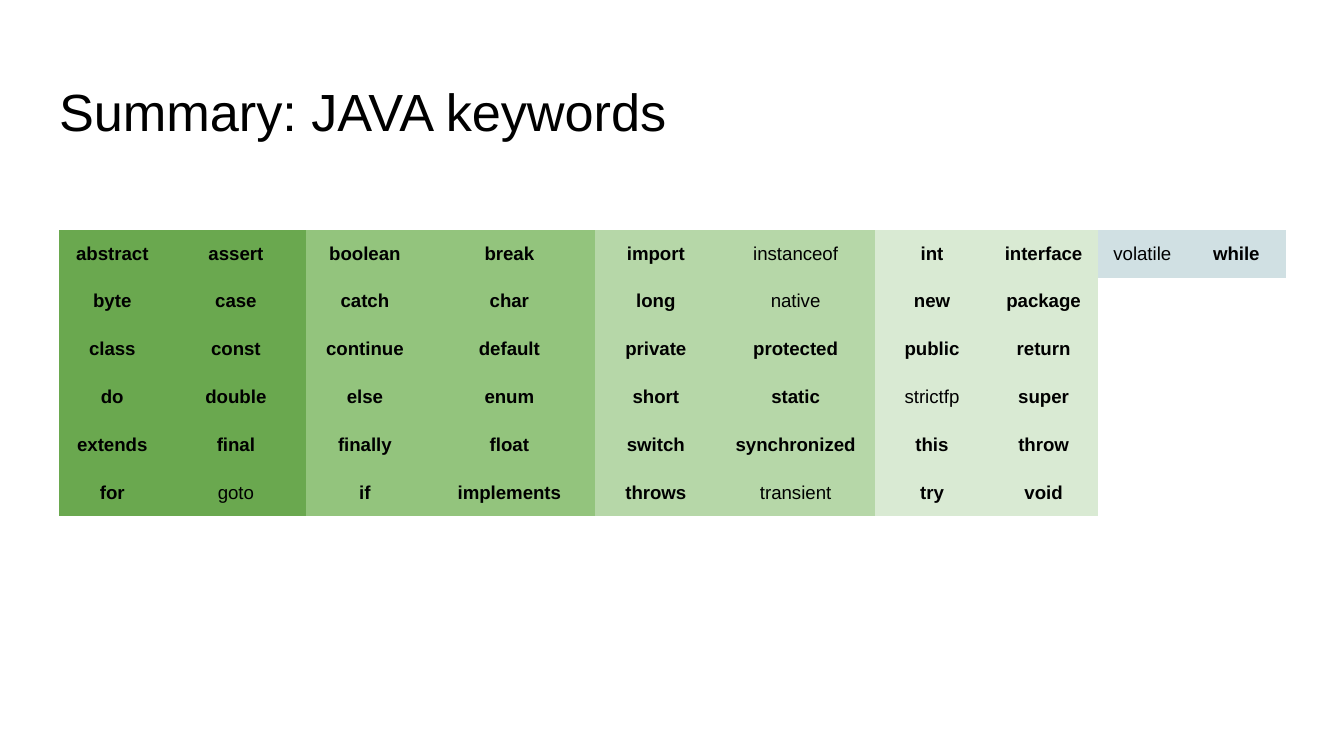
from dataclasses import dataclass

from pptx import Presentation
from pptx.dml.color import RGBColor
from pptx.enum.text import MSO_ANCHOR, MSO_AUTO_SIZE, PP_ALIGN
from pptx.oxml.ns import qn
from pptx.slide import Slide
from pptx.table import Table, _Cell
from pptx.util import Inches, Pt

CENTER = PP_ALIGN.CENTER
LEFT = PP_ALIGN.LEFT
MIDDLE = MSO_ANCHOR.MIDDLE
TOP = MSO_ANCHOR.TOP
NO_AUTOFIT = MSO_AUTO_SIZE.NONE
NO_STYLE_NO_GRID = "{2D5ABB26-0587-4C30-8999-92F81FD0307C}"


@dataclass(frozen=True)
class Theme:
    font: str = "Arial"
    ink: str = "000000"
    title_size: int = 28
    keyword_size: int = 10
    inset: float = 0.1


@dataclass(frozen=True)
class ColumnPair:
    """Two neighbouring keyword columns sharing one fill."""
    fill: str
    widths: tuple[float, float]
    rows: tuple[str, ...]


THEME = Theme()
PAGE_WIDTH = 10
PAGE_HEIGHT = PAGE_WIDTH * 9 / 16
ROW_COUNT = 6
ROW_HEIGHT = 0.35
PLAIN_KEYWORDS = {"instanceof", "volatile", "native", "strictfp", "goto", "transient"}
COLUMN_PAIRS = (
    ColumnPair("6AA84F", (0.79, 1.05), (
        "abstract assert", "byte case", "class const",
        "do double", "extends final", "for goto")),
    ColumnPair("93C47D", (0.87, 1.28), (
        "boolean break", "catch char", "continue default",
        "else enum", "finally float", "if implements")),
    ColumnPair("B6D7A8", (0.9, 1.18), (
        "import instanceof", "long native", "private protected",
        "short static", "switch synchronized", "throws transient")),
    ColumnPair("D9EAD3", (0.85, 0.81), (
        "int interface", "new package", "public return",
        "strictfp super", "this throw", "try void")),
    ColumnPair("D0E0E3", (0.66, 0.74), ("volatile while",)),
)


def format_text(frame, size: int, align: PP_ALIGN, bold: bool) -> None:
    para = frame.paragraphs[0]
    para.alignment = align
    for span in para.runs:
        span.font.name = THEME.font
        span.font.size = Pt(size)
        span.font.bold = bold
        span.font.color.rgb = RGBColor.from_string(THEME.ink)


def set_margins(holder, inset: float) -> None:
    holder.margin_left = holder.margin_right = Inches(inset)
    holder.margin_top = holder.margin_bottom = Inches(inset)


def add_title(page: Slide, text: str) -> None:
    title = page.shapes.title
    title.left, title.top = Inches(0.34), Inches(0.49)
    title.width, title.height = Inches(9.32), Inches(0.63)
    frame = title.text_frame
    frame.text = text
    frame.word_wrap = True
    frame.auto_size = NO_AUTOFIT
    frame.vertical_anchor = TOP
    set_margins(frame, THEME.inset)
    format_text(frame, THEME.title_size, LEFT, bold=False)


def fill_keyword(cell: _Cell, keyword: str, fill: str) -> None:
    cell.text_frame.text = keyword
    cell.vertical_anchor = MIDDLE
    set_margins(cell, THEME.inset)
    cell.fill.solid()
    cell.fill.fore_color.rgb = RGBColor.from_string(fill)
    format_text(cell.text_frame, THEME.keyword_size, CENTER,
                bold=keyword not in PLAIN_KEYWORDS)


def clear_cell(cell: _Cell) -> None:
    # Without margins an empty cell cannot stretch its row
    set_margins(cell, 0)
    cell.fill.background()


def add_pair(table: Table, first_column: int, pair: ColumnPair) -> None:
    for offset, width in enumerate(pair.widths):
        column = first_column + offset
        table.columns[column].width = Inches(width)
        for row in range(ROW_COUNT):
            cell = table.cell(row, column)
            if row < len(pair.rows):
                fill_keyword(cell, pair.rows[row].split()[offset], pair.fill)
            else:
                clear_cell(cell)


def add_keyword_table(page: Slide) -> None:
    width = sum(sum(pair.widths) for pair in COLUMN_PAIRS)
    table = page.shapes.add_table(
        ROW_COUNT, 2 * len(COLUMN_PAIRS), Inches(0.44), Inches(1.71),
        Inches(width), Inches(ROW_COUNT * ROW_HEIGHT)).table
    table.first_row = table.horz_banding = False
    # Drop the default white grid
    table._tbl.tblPr.find(qn("a:tableStyleId")).text = NO_STYLE_NO_GRID
    for index, pair in enumerate(COLUMN_PAIRS):
        add_pair(table, 2 * index, pair)


def main() -> None:
    deck = Presentation()
    deck.slide_width, deck.slide_height = Inches(PAGE_WIDTH), Inches(PAGE_HEIGHT)
    page = deck.slides.add_slide(deck.slide_layouts[5])  # title only

    add_title(page, "Summary: JAVA keywords")
    add_keyword_table(page)

    deck.save("out.pptx")


if __name__ == "__main__":
    main()
